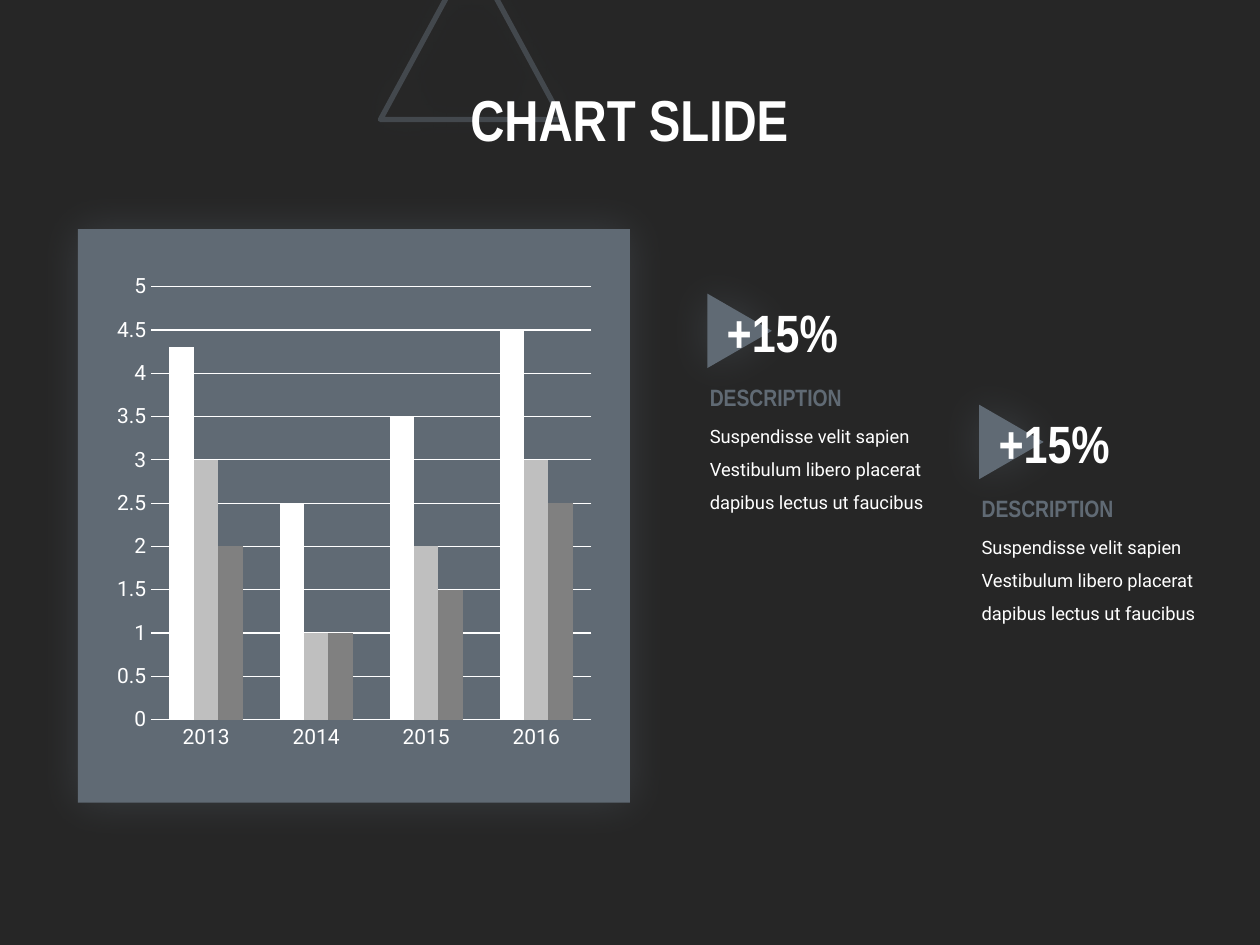
import pptx
import pptx.chart.data
import pptx.dml.color
import pptx.enum.chart
import pptx.enum.shapes
import pptx.enum.text
import pptx.oxml
import pptx.oxml.ns
import pptx.util
from lxml import etree

Cm, Pt = pptx.util.Cm, pptx.util.Pt
SHAPE = pptx.enum.shapes.MSO_SHAPE
COLORS = {
    "background": "262626",
    "slate": "606A74",
    "white": "FFFFFF",
    "silver": "BFBFBF",
    "gray": "808080",
}
HEADING, BODY = "Arial Narrow", "Roboto"


def rgb(name):
    return pptx.dml.color.RGBColor.from_string(COLORS[name])


def add_alpha(fill_parent, percent):
    """Make the solid fill found below an element partly transparent."""
    color = next(fill_parent.iter(pptx.oxml.ns.qn("a:srgbClr")))
    alpha = etree.SubElement(color, pptx.oxml.ns.qn("a:alpha"))
    alpha.set("val", str(percent * 1000))


def add_glow(shape):
    """Give a shape a soft slate shadow that spreads evenly on all sides."""
    shape.shadow.inherit = False
    effects = shape._element.spPr.find(pptx.oxml.ns.qn("a:effectLst"))
    effects.append(pptx.oxml.parse_xml(
        f'<a:outerShdw {pptx.oxml.ns.nsdecls("a")} blurRad="{Pt(25)}" dist="0" '
        f'algn="ctr" rotWithShape="0"><a:srgbClr val="{COLORS["slate"]}">'
        '<a:alpha val="35000"/></a:srgbClr></a:outerShdw>'))


class SlideBuilder:
    """Holds the style and the current slide."""

    def __init__(self, presentation):
        self.slide = presentation.slides.add_slide(presentation.slide_layouts[5])
        self.slide.background.fill.solid()
        self.slide.background.fill.fore_color.rgb = rgb("background")

    def fill_text(self, frame, text, size, font, color, bold=False, spacing=None):
        frame.word_wrap = True
        paragraph = frame.paragraphs[0]
        paragraph.line_spacing = spacing
        run = paragraph.add_run()
        run.text = text
        run.font.size, run.font.name, run.font.bold = Pt(size), font, bold
        run.font.color.rgb = rgb(color)
        return paragraph

    def title(self, text, left, top, width, height):
        title = self.slide.shapes.title
        title.left, title.top = Cm(left), Cm(top)
        title.width, title.height = Cm(width), Cm(height)
        title.text_frame.vertical_anchor = pptx.enum.text.MSO_ANCHOR.MIDDLE
        paragraph = self.fill_text(
            title.text_frame, text, 33, HEADING, "white", True, 0.9)
        paragraph.alignment = pptx.enum.text.PP_ALIGN.CENTER

    def glowing_shape(self, kind, left, top, width, height, rotation=0):
        shape = self.slide.shapes.add_shape(
            kind, Cm(left), Cm(top), Cm(width), Cm(height))
        shape.rotation = rotation
        shape.fill.solid()
        shape.fill.fore_color.rgb = rgb("slate")
        shape.line.fill.background()
        add_glow(shape)
        return shape

    def outline_triangle(self, left, top, width, height):
        """Add a see-through triangle behind the title."""
        triangle = self.glowing_shape(
            SHAPE.ISOSCELES_TRIANGLE, left, top, width, height)
        triangle.fill.background()
        triangle.line.color.rgb = rgb("slate")
        triangle.line.width = Pt(3)
        add_alpha(triangle._element.spPr.find(pptx.oxml.ns.qn("a:ln")), 50)
        self.slide.shapes.title._element.addprevious(triangle._element)

    def backdrop(self, points):
        start, *others = [(Cm(x), Cm(y)) for x, y in points]
        builder = self.slide.shapes.build_freeform(*start)
        builder.add_line_segments(others, close=True)
        shape = builder.convert_to_shape()
        shape.shadow.inherit = False
        shape.fill.solid()
        shape.fill.fore_color.rgb = rgb("background")
        add_alpha(shape._element.spPr, 70)
        shape.line.fill.background()

    def text(self, text, left, top, width, height, *style):
        box = self.slide.shapes.add_textbox(Cm(left), Cm(top), Cm(width), Cm(height))
        self.fill_text(box.text_frame, text, *style)
        box.text_frame.auto_size = pptx.enum.text.MSO_AUTO_SIZE.SHAPE_TO_FIT_TEXT

    def column_chart(self, categories, series, left, top, width, height):
        data = pptx.chart.data.CategoryChartData()
        data.categories = categories
        for name, values, _ in series:
            data.add_series(name, values)
        chart = self.slide.shapes.add_chart(
            pptx.enum.chart.XL_CHART_TYPE.COLUMN_CLUSTERED,
            Cm(left), Cm(top), Cm(width), Cm(height), data).chart
        chart.has_legend = chart.has_title = False
        chart.font.name, chart.font.size = BODY, Pt(10)
        chart.font.color.rgb = rgb("white")

        plot = chart.plots[0]
        plot.gap_width, plot.overlap = 150, 0
        plot.vary_by_categories = False
        for column, (_, _, color) in zip(plot.series, series):
            column.format.fill.solid()
            column.format.fill.fore_color.rgb = rgb(color)

        for axis in (chart.category_axis, chart.value_axis):
            axis.major_tick_mark = pptx.enum.chart.XL_TICK_MARK.NONE
            axis.minor_tick_mark = pptx.enum.chart.XL_TICK_MARK.NONE
            axis.format.line.fill.background()
            font = axis.tick_labels.font
            font.name, font.size = BODY, Pt(12)
            font.color.rgb = rgb("white")
        axis = chart.value_axis
        axis.minimum_scale, axis.maximum_scale, axis.major_unit = 0, 5, 0.5
        gridlines = axis.major_gridlines.format.line
        gridlines.color.rgb = rgb("white")
        gridlines.width = Pt(0.75)

    def callout(self, left, top):
        """Add an arrow marker with its figure, heading and description."""
        self.glowing_shape(
            SHAPE.ISOSCELES_TRIANGLE, left + 0.1, top + 0.1, 1.5, 1.3, rotation=90)
        self.text("Suspendisse velit sapien Vestibulum libero placerat "
                  "dapibus lectus ut faucibus",
                  left, top + 2.31, 5.36, 2.21, 10.5, BODY, "white", False, 1.5)
        self.text("DESCRIPTION", left, top + 1.68, 4.67, 0.84,
                  13.5, HEADING, "slate", True)
        self.text("+15%", left + 0.34, top, 3.4, 1.55, 30, HEADING, "white", True)


def main():
    presentation = pptx.Presentation()
    presentation.slide_width, presentation.slide_height = Cm(25.4), Cm(19.05)
    builder = SlideBuilder(presentation)
    builder.title("CHART SLIDE", 6.22, 1.24, 12.94, 2.49)
    builder.outline_triangle(7.67, -0.97, 3.66, 3.38)
    builder.backdrop([(12.7, 10.26), (25.4, 18.54), (25.4, 19.05),
                      (0, 19.05), (0, 18.54)])
    builder.glowing_shape(SHAPE.RECTANGLE, 1.57, 4.62, 11.13, 11.56)
    builder.column_chart(
        ["2013", "2014", "2015", "2016"],
        [("Series 1", (4.3, 2.5, 3.5, 4.5), "white"),
         ("Series 2", (3, 1, 2, 3), "silver"),
         ("Series 3", (2, 1, 1.5, 2.5), "gray")],
        2.16, 5.33, 9.96, 9.98)
    for left, top in ((14.06, 5.92), (19.54, 8.16)):
        builder.callout(left, top)
    presentation.save("out.pptx")


if __name__ == "__main__":
    main()
